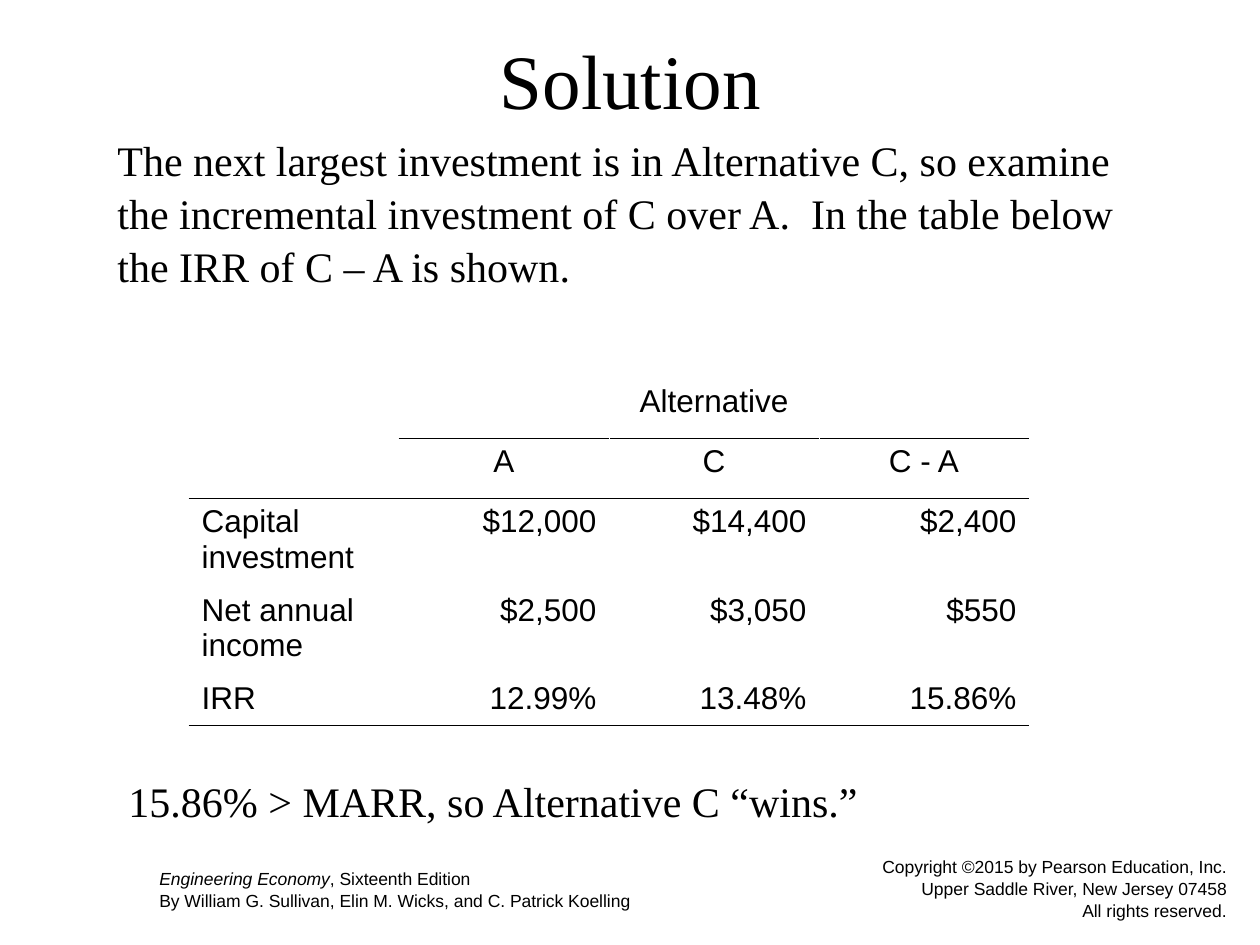
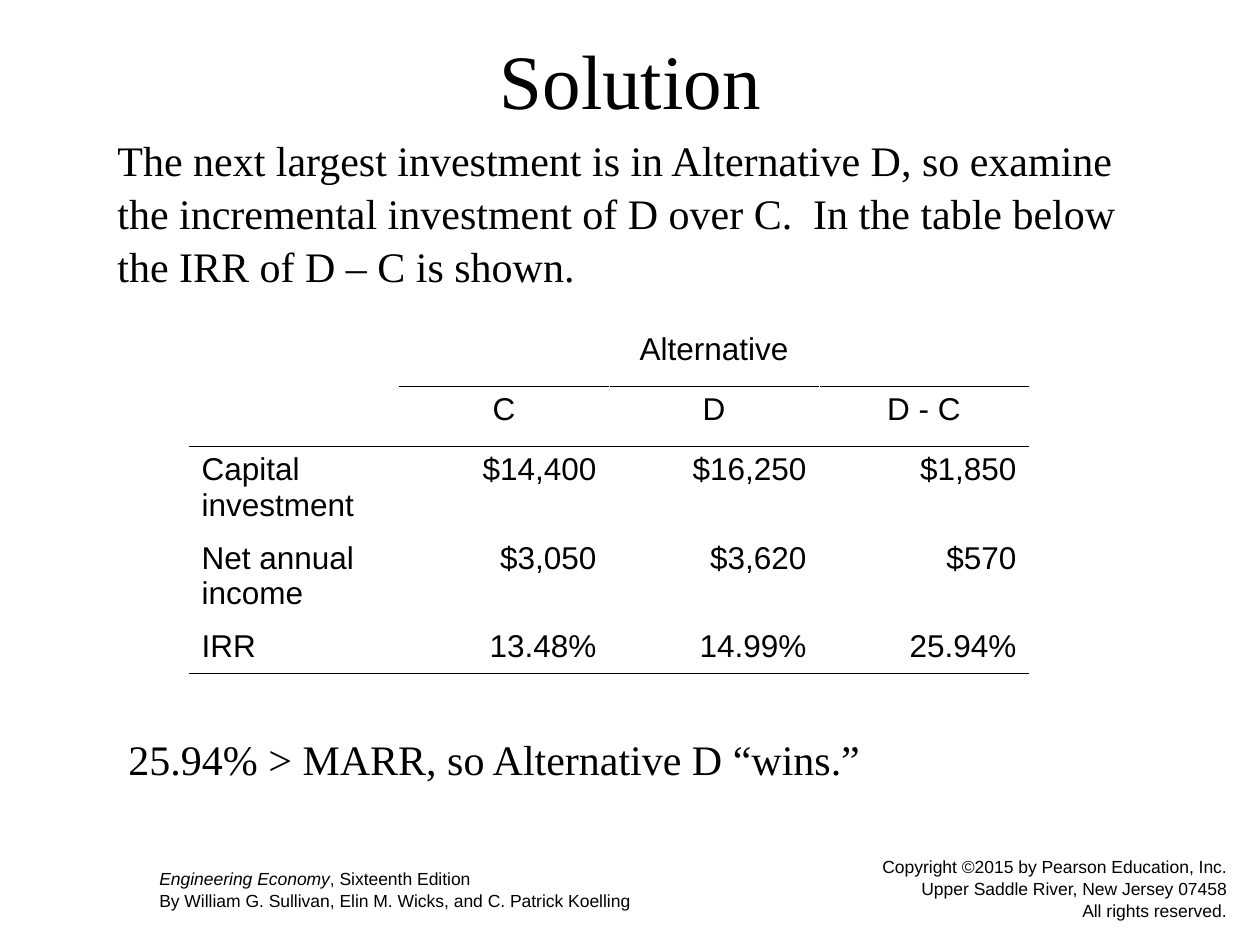
"""Build the two incremental IRR solution slides."""
from dataclasses import dataclass

from lxml.etree import SubElement
from pptx import Presentation
from pptx.dml.color import RGBColor
from pptx.enum.text import MSO_ANCHOR, PP_ALIGN
from pptx.oxml.ns import qn
from pptx.util import Emu, Pt


@dataclass(frozen=True)
class Theme:
    ink: str = "000000"
    paper: str = "FFFFFF"
    serif: str = "Times New Roman"
    sans: str = "Arial"
    title: int = 44
    body: int = 24
    cell: int = 18
    footer: int = 10
    leading: float = 1.05
    rule: float = 0.45


THEME = Theme()
PX = 914400 / 126
ROW_HEIGHTS = (60, 60, 88, 88, 50)
COLUMN_WIDTH = 210
ROW_LABELS = ("Capital investment", "Net annual income", "IRR")


def px(n):
    return Emu(round(n * PX))


def add_run(p, text, *, font, size, color=THEME.ink, italic=False):
    r = p.add_run()
    r.text = text
    r.font.name = font
    r.font.size = Pt(size)
    r.font.italic = italic
    r.font.color.rgb = RGBColor.from_string(color)


class Deck:
    def __init__(self, theme):
        self.theme = theme
        self.prs = Presentation()
        self.prs.slide_width, self.prs.slide_height = px(1260), px(945)
        self.s = None

    def new_slide(self):
        self.s = self.prs.slides.add_slide(self.prs.slide_layouts[6])
        fill = self.s.background.fill
        fill.solid()
        fill.fore_color.rgb = RGBColor.from_string(self.theme.paper)

    def text(self, box, paragraphs, *, font, size, align=PP_ALIGN.LEFT,
             anchor=MSO_ANCHOR.TOP, leading=None):
        tf = self.s.shapes.add_textbox(*map(px, box)).text_frame
        tf.word_wrap = True
        tf.vertical_anchor = anchor
        for i, runs in enumerate(paragraphs):
            p = tf.add_paragraph() if i else tf.paragraphs[0]
            p.alignment = align
            p.line_spacing = leading or self.theme.leading
            for text, italic in runs:
                add_run(p, text, font=font, size=size, italic=italic)

    def title(self, text):
        self.text((95, 21, 1071, 116), [[(text, False)]], font=self.theme.serif,
                  size=self.theme.title, align=PP_ALIGN.CENTER,
                  anchor=MSO_ANCHOR.MIDDLE, leading=1.0)

    def body(self, box, text):
        self.text(box, [[(text, False)]], font=self.theme.serif, size=self.theme.body)

    def footers(self):
        style = dict(font=self.theme.sans, size=self.theme.footer)
        notice = ("Copyright ©2015 by Pearson Education, Inc.",
                  "Upper Saddle River, New Jersey 07458",
                  "All rights reserved.")
        self.text((840, 851, 399, 74), [[(line, False)] for line in notice],
                  align=PP_ALIGN.RIGHT, anchor=MSO_ANCHOR.MIDDLE, **style)
        self.text((147, 861, 630, 55), [
            [("Engineering Economy", True), (", Sixteenth Edition", False)],
            [("By William G. Sullivan, Elin M. Wicks, and C. Patrick Koelling", False)],
        ], **style)

    def borders(self, cell, top, bottom):
        paper, ink = self.theme.paper, self.theme.ink
        sides = (("L", paper), ("R", paper),
                 ("T", ink if top else paper), ("B", ink if bottom else paper))
        tc_pr = cell._tc.get_or_add_tcPr()
        for side, color in sides:
            ln = SubElement(tc_pr, qn(f"a:ln{side}"), w=str(Pt(self.theme.rule)))
            SubElement(SubElement(ln, qn("a:solidFill")), qn("a:srgbClr"), val=color)

    def table(self, top, rows):
        n_rows, n_cols = len(rows), len(rows[0])
        table = self.s.shapes.add_table(n_rows, n_cols, px(189), px(top),
                                        px(COLUMN_WIDTH * n_cols),
                                        px(sum(ROW_HEIGHTS))).table
        table.first_row = table.horz_banding = False
        for column in table.columns:
            column.width = px(COLUMN_WIDTH)
        for r, values in enumerate(rows):
            table.rows[r].height = px(ROW_HEIGHTS[r])
            for c, value in enumerate(values):
                cell = table.cell(r, c)
                self.borders(cell, top=r == 2 or (r == 1 and c > 0),
                             bottom=r in (1, n_rows - 1) or (r == 0 and c > 0))
                cell.fill.background()
                if value:
                    p = cell.text_frame.paragraphs[0]
                    p.alignment = (PP_ALIGN.CENTER if r < 2 else
                                   PP_ALIGN.RIGHT if c else PP_ALIGN.LEFT)
                    add_run(p, value, font=self.theme.sans, size=self.theme.cell)
        table.cell(0, 1).merge(table.cell(0, n_cols - 1))

    def comparison(self, base, rival, figures, table_top, verdict_top):
        self.new_slide()
        self.footers()
        self.body((105, 126, 1050, 164),
                  f"The next largest investment is in Alternative {rival}, so examine "
                  f"the incremental investment of {rival} over {base}.  In the table "
                  f"below the IRR of {rival} – {base} is shown.")
        self.title("Solution")
        self.table(table_top, [
            ("", "Alternative", "", ""),
            ("", base, rival, f"{rival} - {base}"),
            *((label, *values) for label, values in zip(ROW_LABELS, figures)),
        ])
        self.body((116, verdict_top, 1029, 63),
                  f"{figures[-1][-1]} > MARR, so Alternative {rival} “wins.”")


def main():
    deck = Deck(THEME)
    deck.comparison("A", "C", (("$12,000", "$14,400", "$2,400"),
                               ("$2,500", "$3,050", "$550"),
                               ("12.99%", "13.48%", "15.86%")), 378, 767)
    deck.comparison("C", "D", (("$14,400", "$16,250", "$1,850"),
                               ("$3,050", "$3,620", "$570"),
                               ("13.48%", "14.99%", "25.94%")), 326, 725)
    deck.prs.save("out.pptx")


if __name__ == "__main__":
    main()
